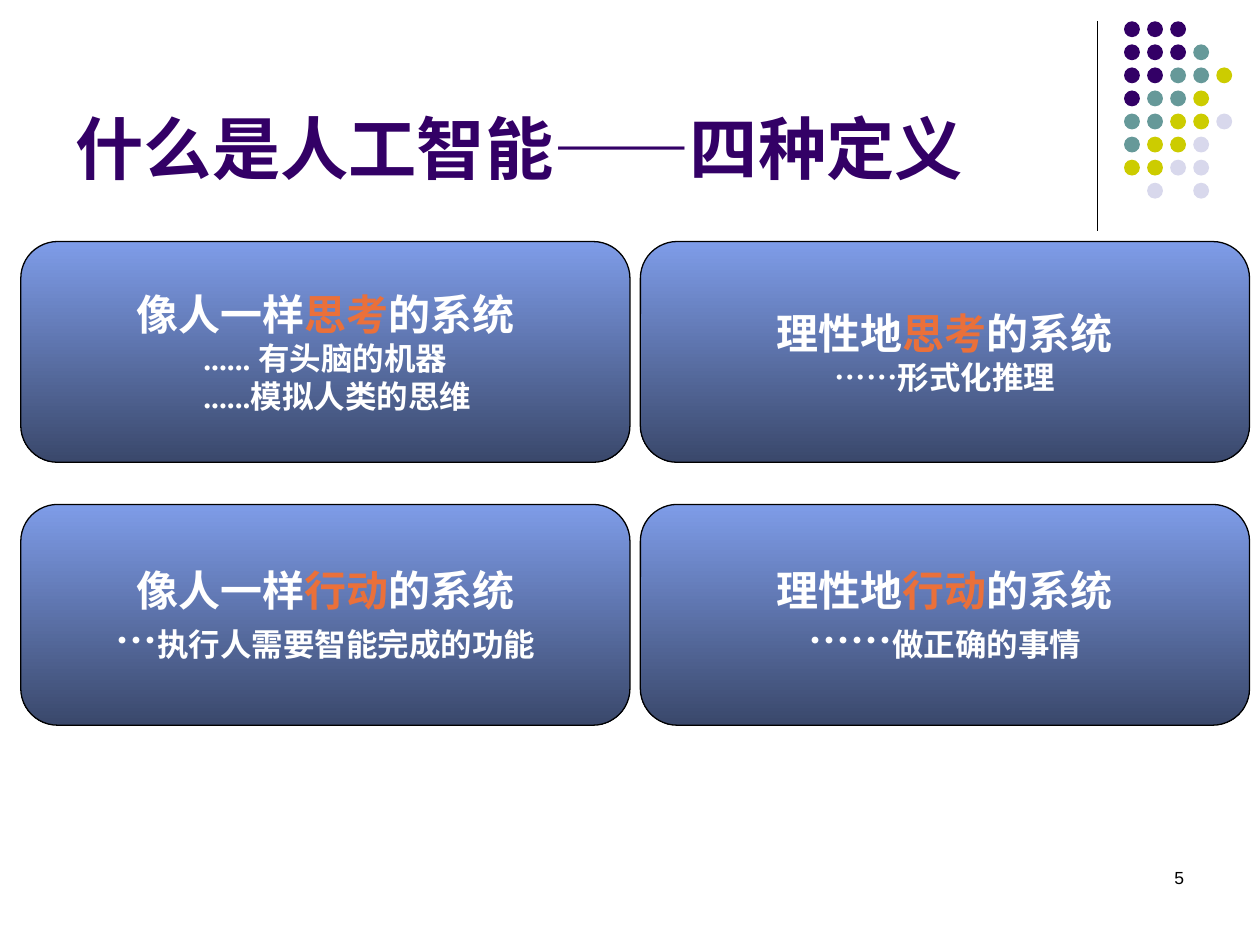
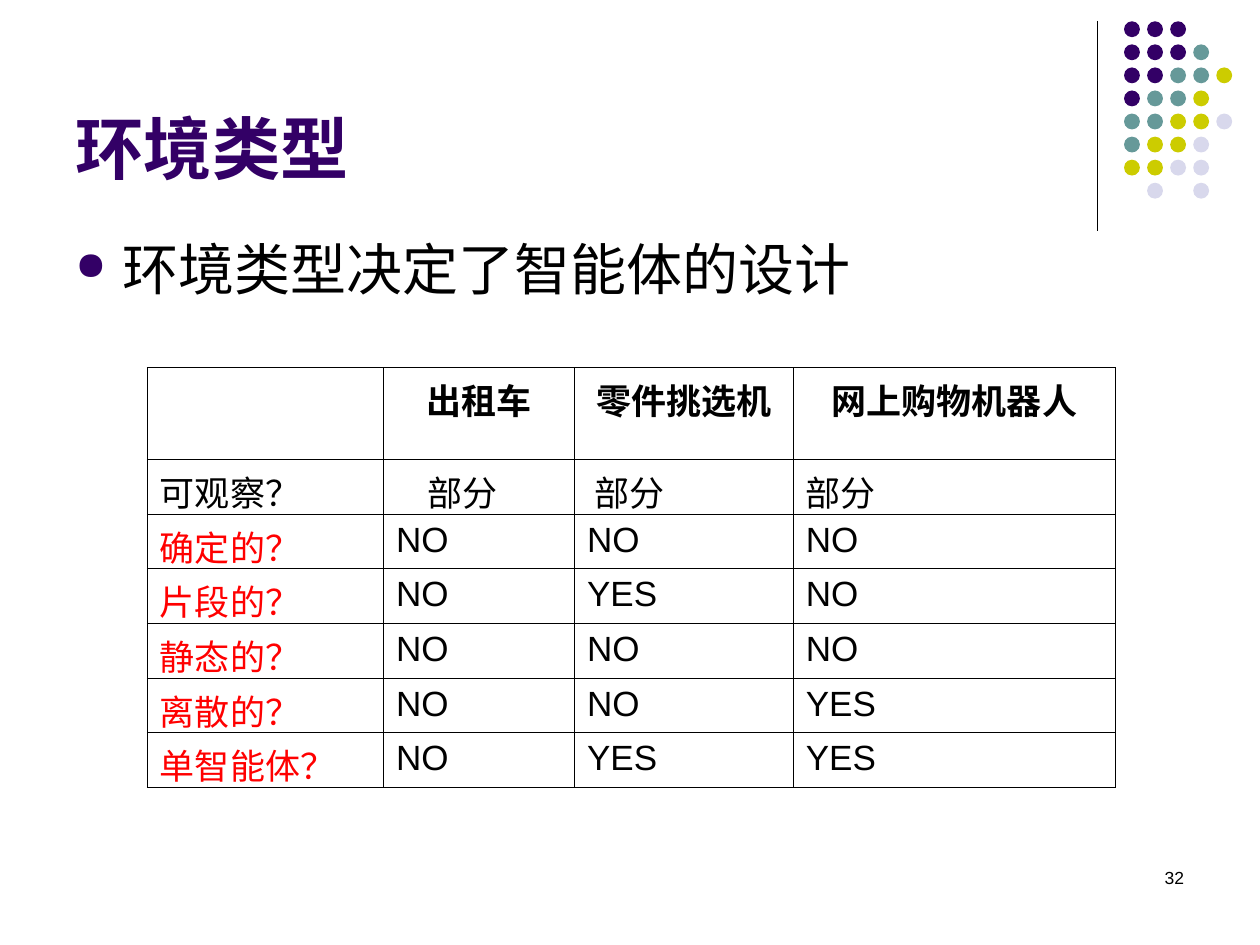
from itertools import product

from lxml import etree
from pptx import Presentation
from pptx.dml.color import RGBColor
from pptx.enum.shapes import MSO_CONNECTOR, MSO_SHAPE
from pptx.enum.text import MSO_ANCHOR, MSO_AUTO_SIZE, PP_ALIGN
from pptx.oxml.ns import qn
from pptx.util import Cm, Pt

LEFT, CENTER, RIGHT = PP_ALIGN.LEFT, PP_ALIGN.CENTER, PP_ALIGN.RIGHT
TOP, MIDDLE, BOTTOM = MSO_ANCHOR.TOP, MSO_ANCHOR.MIDDLE, MSO_ANCHOR.BOTTOM
NO_AUTOFIT = MSO_AUTO_SIZE.NONE
STRAIGHT = MSO_CONNECTOR.STRAIGHT
OVAL = MSO_SHAPE.OVAL
CARD = MSO_SHAPE.FLOWCHART_ALTERNATE_PROCESS

TITLE_ONLY = 5
SANS, SERIF = "Arial", "Times New Roman"
COLORS = {
    "purple": "330066", "teal": "669999", "lime": "CCCC00", "lilac": "D8D8EC",
    "card_top": "7E9CE8", "card_bottom": "3A486B", "accent": "EA703A",
    "white": "FFFFFF", "black": "000000", "red": "FF0000",
}

# Corner dots: one letter per dot, a dot for an empty place
DOT_ROWS = ["PPP", "PPPT", "PPTTL", "PTTL", "TTLLI", "TLLI", "LLII", ".I.I"]
DOT_COLORS = {"P": "purple", "T": "teal", "L": "lime", "I": "lilac"}


def rgb(name):
    return RGBColor.from_string(COLORS[name])


class Deck:
    """Shared style plus the slide being built."""

    def __init__(self):
        self.prs = Presentation()
        self.prs.slide_width, self.prs.slide_height = Cm(25.4), Cm(19.05)
        self.slide = None

    def new_slide(self, title, number):
        layout = self.prs.slide_layouts[TITLE_ONLY]
        self.slide = self.prs.slides.add_slide(layout)
        self.corner()
        self.text(number, 18.2, 17.35, 5.92, 1.27, size=10, align=RIGHT)
        heading = self.slide.shapes.title
        heading.left, heading.top = Cm(1.27), Cm(0.33)
        heading.width, heading.height = Cm(20.96), Cm(3.6)
        frame = heading.text_frame
        frame.text = title
        frame.auto_size = NO_AUTOFIT
        frame.vertical_anchor = BOTTOM
        self.style(frame.paragraphs[0], 39, "purple", bold=True)

    def style(self, paragraph, size, color="black", font=SANS, bold=False,
              align=LEFT):
        paragraph.alignment = align
        face = paragraph.font
        face.name, face.size, face.bold = font, Pt(size), bold
        face.color.rgb = rgb(color)

    def indent(self, paragraph, left, first=0):
        props = paragraph._p.get_or_add_pPr()
        props.set("marL", str(Cm(left)))
        props.set("indent", str(Cm(first)))
        return props

    def corner(self):
        rule = self.slide.shapes.add_connector(
            STRAIGHT, Cm(22.12), Cm(0.42), Cm(22.12), Cm(4.66))
        rule.line.color.rgb = rgb("black")
        rule.line.width = Pt(0.75)
        etree.SubElement(rule._element.spPr, qn("a:effectLst"))
        for row, letters in enumerate(DOT_ROWS):
            for col, letter in enumerate(letters):
                if letter in DOT_COLORS:
                    self.dot(22.66 + 0.465 * col, 0.43 + 0.465 * row,
                             DOT_COLORS[letter])

    def dot(self, x, y, color):
        dot = self.slide.shapes.add_shape(OVAL, Cm(x), Cm(y), Cm(0.32), Cm(0.32))
        dot.shadow.inherit = False
        dot.fill.solid()
        dot.fill.fore_color.rgb = rgb(color)
        dot.line.fill.background()

    def text(self, words, x, y, w, h, size, align=LEFT, bullet=False):
        box = self.slide.shapes.add_textbox(Cm(x), Cm(y), Cm(w), Cm(h))
        frame = box.text_frame
        frame.word_wrap = True
        frame.text = words
        paragraph = frame.paragraphs[0]
        if bullet:
            paragraph.line_spacing = 0.8
            props = self.indent(paragraph, 0.95, -0.95)
            color = etree.SubElement(props, qn("a:buClr"))
            etree.SubElement(color, qn("a:srgbClr"), val=COLORS["purple"])
            etree.SubElement(props, qn("a:buSzPct"), val="70000")
            etree.SubElement(props, qn("a:buChar"), char="●")
        self.style(paragraph, size, align=align)

    def card(self, x, y, w, h, lines):
        """Each line is (left indent, [(text, size, colour), ...])."""
        card = self.slide.shapes.add_shape(CARD, Cm(x), Cm(y), Cm(w), Cm(h))
        card.shadow.inherit = False
        card.fill.gradient()
        card.fill.gradient_angle = 270
        for stop, place, color in zip(card.fill.gradient_stops, (0, 1),
                                      ("card_top", "card_bottom")):
            stop.position = place
            stop.color.rgb = rgb(color)
        card.line.color.rgb = rgb("black")
        card.line.width = Pt(0.75)
        frame = card.text_frame
        frame.word_wrap = True
        frame.vertical_anchor = MIDDLE
        for i, (left, runs) in enumerate(lines):
            paragraph = frame.add_paragraph() if i else frame.paragraphs[0]
            self.indent(paragraph, left)
            self.style(paragraph, runs[0][1], "white", SERIF, True, CENTER)
            for words, size, color in runs:
                run = paragraph.add_run()
                run.text = words
                run.font.size = Pt(size)
                run.font.color.rgb = rgb(color)

    def table(self, x, y, widths, heights, rows):
        grid = self.slide.shapes.add_table(
            len(rows), len(widths), Cm(x), Cm(y),
            Cm(sum(widths)), Cm(sum(heights))).table
        grid.first_row = grid.horz_banding = False
        for column, width in zip(grid.columns, widths):
            column.width = Cm(width)
        for row, height in zip(grid.rows, heights):
            row.height = Cm(height)
        for r, c in product(range(len(rows)), range(len(widths))):
            cell = grid.cell(r, c)
            self.border(cell)
            cell.fill.background()
            cell.vertical_anchor = TOP
            cell.text = rows[r][c]
            paragraph = cell.text_frame.paragraphs[0]
            if r == 0:
                self.style(paragraph, 20, font=SERIF, bold=True, align=CENTER)
            elif r > 1 and c == 0:
                self.style(paragraph, 20, "red", SERIF)
            else:
                self.style(paragraph, 20)
        return grid

    def border(self, cell):
        props = cell._tc.get_or_add_tcPr()
        for side in ("lnL", "lnR", "lnT", "lnB"):
            edge = etree.SubElement(props, qn(f"a:{side}"), w=str(Pt(0.45)))
            fill = etree.SubElement(edge, qn("a:solidFill"))
            etree.SubElement(fill, qn("a:srgbClr"), val=COLORS["black"])


def definitions(deck):
    deck.new_slide("什么是人工智能——四种定义", "5")
    # Two ways (columns) by two subjects (rows), with the lines under each
    ways = ["像人一样", "理性地"]
    subjects = ["思考", "行动"]
    details = [
        [[(0, [("...... 有头脑的机器", 18, "white")]),
          (0.48, [("......模拟人类的思维", 18, "white")])],
         [(0, [("……形式化推理", 18, "white")])]],
        [[(0, [("…", 24, "white"), ("执行人需要智能完成的功能", 18, "white")])],
         [(0, [("……", 24, "white"), ("做正确的事情", 18, "white")])]],
    ]
    for row, subject in enumerate(subjects):
        for col, way in enumerate(ways):
            headline = (0, [(way, 24, "white"), (subject, 24, "accent"),
                            ("的系统", 24, "white")])
            deck.card(0.42 + 12.49 * col, 4.87 + 5.3 * row, 12.28, 4.45,
                      [headline] + details[row][col])


def environments(deck):
    deck.new_slide("环境类型", "32")
    deck.text("环境类型决定了智能体的设计", 1.27, 4.87, 21.8, 9.95,
              size=32, bullet=True)
    rows = [
        ["", "出租车", "零件挑选机", "网上购物机器人"],
        ["可观察？", "部分", "部分", "部分"],
        ["确定的？", "NO", "NO", "NO"],
        ["片段的？", "NO", "YES", "NO"],
        ["静态的？", "NO", "NO", "NO"],
        ["离散的？", "NO", "NO", "YES"],
        ["单智能体？", "NO", "YES", "YES"],
    ]
    properties = deck.table(2.97, 7.41, [4.76, 3.85, 4.41, 6.5],
                            [1.85] + [1.09] * 6, rows)
    # The first two "部分" entries sit in from the cell edge
    for col, left in ((1, 0.63), (2, 0.16)):
        deck.indent(properties.cell(1, col).text_frame.paragraphs[0], left)


def main():
    deck = Deck()
    definitions(deck)
    environments(deck)
    deck.prs.save("out.pptx")


if __name__ == "__main__":
    main()
